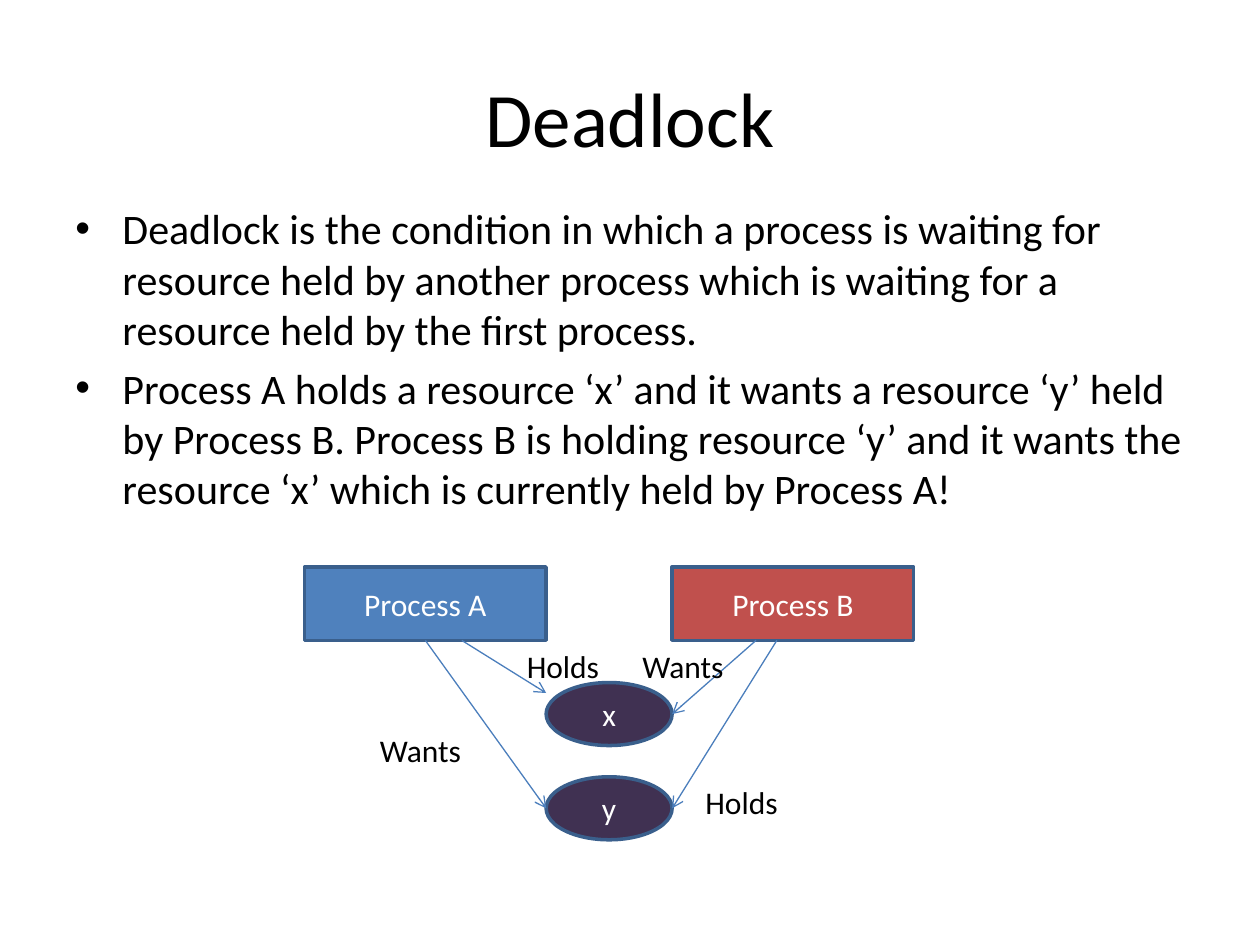
from lxml import etree
from pptx import Presentation
from pptx import util as u
from pptx.dml.color import RGBColor
from pptx.enum import shapes, text
from pptx.oxml.ns import qn

BLACK = RGBColor(0x00, 0x00, 0x00)
WHITE = RGBColor(0xFF, 0xFF, 0xFF)
BLUE = RGBColor(0x4F, 0x81, 0xBD)
RED = RGBColor(0xC0, 0x50, 0x4D)
PURPLE = RGBColor(0x40, 0x31, 0x52)
OUTLINE = RGBColor(0x3A, 0x5F, 0x8C)
ARROW = RGBColor(0x4B, 0x7E, 0xBC)

FONT = "Calibri"
MARGIN, CONTENT_WIDTH = 1.27, 22.86
PROCESS_SIZE = (4.87, 1.48)
RESOURCE_SIZE = (2.54, 1.27)
PROCESS_TOP = 11.43
PROCESS_BOTTOM = PROCESS_TOP + PROCESS_SIZE[1]
RESOURCE_LEFT = 11.01
RESOURCE_RIGHT = RESOURCE_LEFT + RESOURCE_SIZE[0]
X_TOP, Y_TOP = 13.76, 15.66
X_MIDDLE, Y_MIDDLE = (top + RESOURCE_SIZE[1] / 2 for top in (X_TOP, Y_TOP))

DEFINITIONS = [
    "Deadlock is the condition in which a process is waiting for resource held "
    "by another process which is waiting for a resource held by the first process.",
    "Process A holds a resource ‘x’ and it wants a resource ‘y’ held by Process B. "
    "Process B is holding resource ‘y’ and it wants the resource ‘x’ which is "
    "currently held by Process A!",
]


def set_font(paragraph, size, color):
    font = paragraph.font
    for name, value in {"name": FONT, "size": u.Pt(size)}.items():
        setattr(font, name, value)
    font.color.rgb = color


def add_bullet(paragraph):
    properties = paragraph._p.get_or_add_pPr()
    indent = u.Cm(0.95)
    properties.set("marL", str(indent))
    properties.set("indent", str(-indent))
    etree.SubElement(properties, qn("a:buFont"), typeface="Arial")
    etree.SubElement(properties, qn("a:buChar"), char="•")


def add_textbox(slide, left, top, width, height, **frame_format):
    """Add a text box and return its text frame."""
    frame = slide.shapes.add_textbox(*map(u.Cm, (left, top, width, height))).text_frame
    for name, value in frame_format.items():
        setattr(frame, name, value)
    return frame


def add_title(slide, wording):
    frame = add_textbox(slide, MARGIN, 0.76, CONTENT_WIDTH, 3.18, word_wrap=True,
                        vertical_anchor=text.MSO_ANCHOR.MIDDLE)
    paragraph = frame.paragraphs[0]
    paragraph.text = wording
    paragraph.alignment = text.PP_ALIGN.CENTER
    set_font(paragraph, 44, BLACK)


def add_bullet_list(slide, items):
    frame = add_textbox(slide, MARGIN, 3.96, CONTENT_WIDTH, 13.06, word_wrap=True)
    for number, item in enumerate(items):
        paragraph = frame.add_paragraph() if number else frame.paragraphs[0]
        paragraph.text = item
        add_bullet(paragraph)
        if number:
            paragraph.space_before = u.Pt(4.8)
        set_font(paragraph, 24, BLACK)


def add_node(slide, kind, wording, left, top, size, fill):
    """Add an outlined shape with a centred caption."""
    shape = slide.shapes.add_shape(kind, *map(u.Cm, (left, top, *size)))
    shape.shadow.inherit = False
    shape.fill.solid()
    shape.fill.fore_color.rgb = fill
    shape.line.color.rgb = OUTLINE
    shape.line.width = u.Pt(2)
    shape.text_frame.vertical_anchor = text.MSO_ANCHOR.MIDDLE
    paragraph = shape.text_frame.paragraphs[0]
    paragraph.text = wording
    paragraph.alignment = text.PP_ALIGN.CENTER
    set_font(paragraph, 18, WHITE)
    return shape


def add_arrow(slide, start, end):
    connector = slide.shapes.add_connector(
        shapes.MSO_CONNECTOR.STRAIGHT, *map(u.Cm, (*start, *end)))
    connector.line.color.rgb = ARROW
    connector.line.width = u.Pt(0.75)
    etree.SubElement(connector.line._get_or_add_ln(), qn("a:tailEnd"), type="arrow")
    etree.SubElement(connector._element.spPr, qn("a:effectLst"))
    return connector


def add_label(slide, wording, left, top):
    width = {"Holds": 1.98, "Wants": 2.16}[wording]
    frame = add_textbox(slide, left, top, width, 1.02, word_wrap=False,
                        auto_size=text.MSO_AUTO_SIZE.SHAPE_TO_FIT_TEXT)
    paragraph = frame.paragraphs[0]
    paragraph.text = wording
    set_font(paragraph, 18, BLACK)


def main():
    presentation = Presentation()
    presentation.slide_width = u.Cm(25.4)
    presentation.slide_height = u.Cm(19.05)
    slide = presentation.slides.add_slide(presentation.slide_layouts[6])

    add_title(slide, "Deadlock")
    add_bullet_list(slide, DEFINITIONS)

    rectangle, oval = shapes.MSO_SHAPE.RECTANGLE, shapes.MSO_SHAPE.OVAL
    process_a = add_node(slide, rectangle, "Process A", 6.14, PROCESS_TOP,
                         PROCESS_SIZE, BLUE)
    add_node(slide, rectangle, "Process B", 13.55, PROCESS_TOP, PROCESS_SIZE, RED)
    for wording, top in (("x", X_TOP), ("y", Y_TOP)):
        add_node(slide, oval, wording, RESOURCE_LEFT, top, RESOURCE_SIZE, PURPLE)

    add_arrow(slide, (9.31, PROCESS_BOTTOM), (RESOURCE_LEFT, 13.97))
    add_arrow(slide, (15.66, PROCESS_BOTTOM), (RESOURCE_RIGHT, Y_MIDDLE))
    a_wants_y = add_arrow(slide, (8.57, PROCESS_BOTTOM), (RESOURCE_LEFT, Y_MIDDLE))
    a_wants_y.begin_connect(process_a, 2)
    add_arrow(slide, (15.24, PROCESS_BOTTOM), (RESOURCE_RIGHT, X_MIDDLE))

    for wording, left, top in (
        ("Holds", 10.37, PROCESS_BOTTOM),
        ("Holds", 13.97, Y_TOP),
        ("Wants", 7.41, 14.61),
        ("Wants", 12.7, PROCESS_BOTTOM),
    ):
        add_label(slide, wording, left, top)

    presentation.save("out.pptx")


if __name__ == "__main__":
    main()
